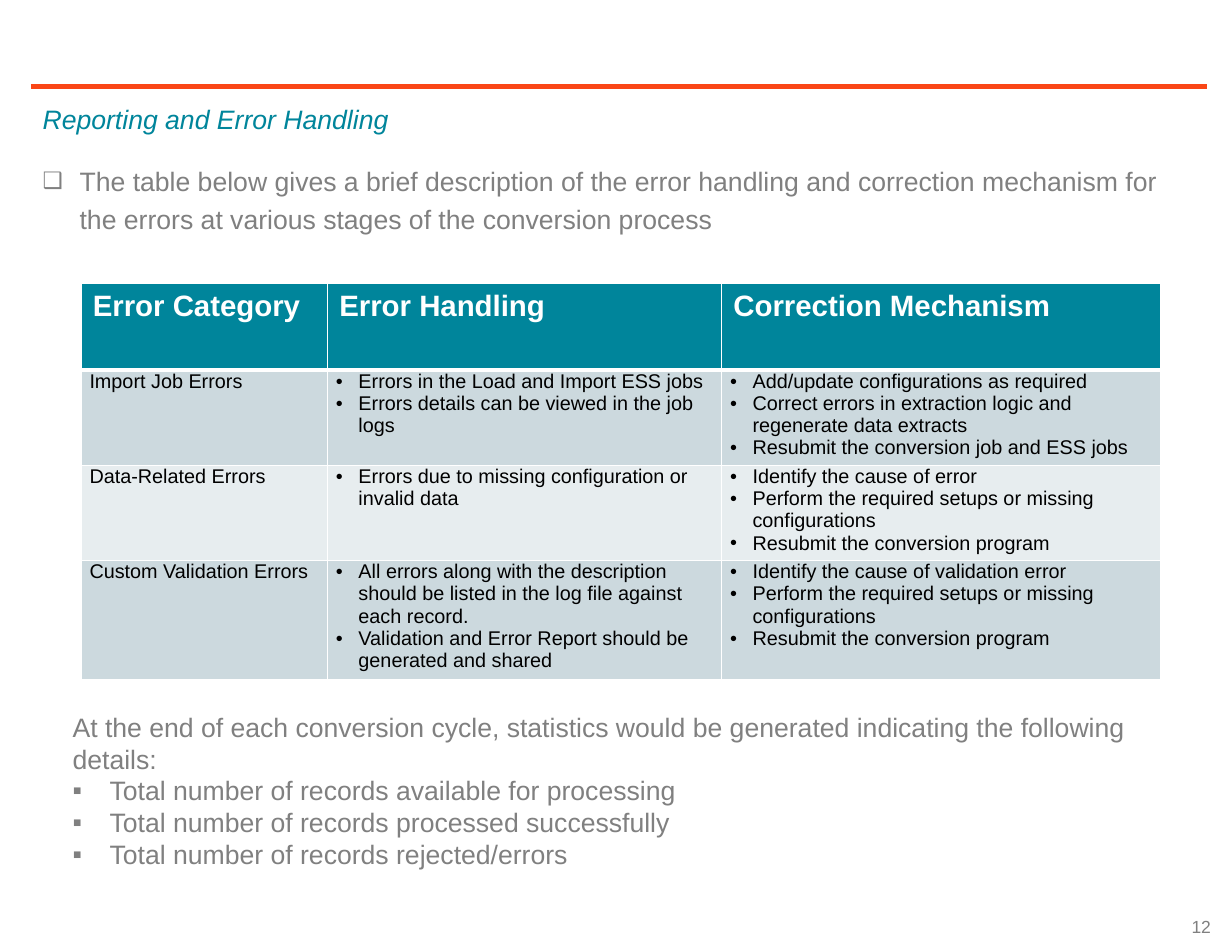
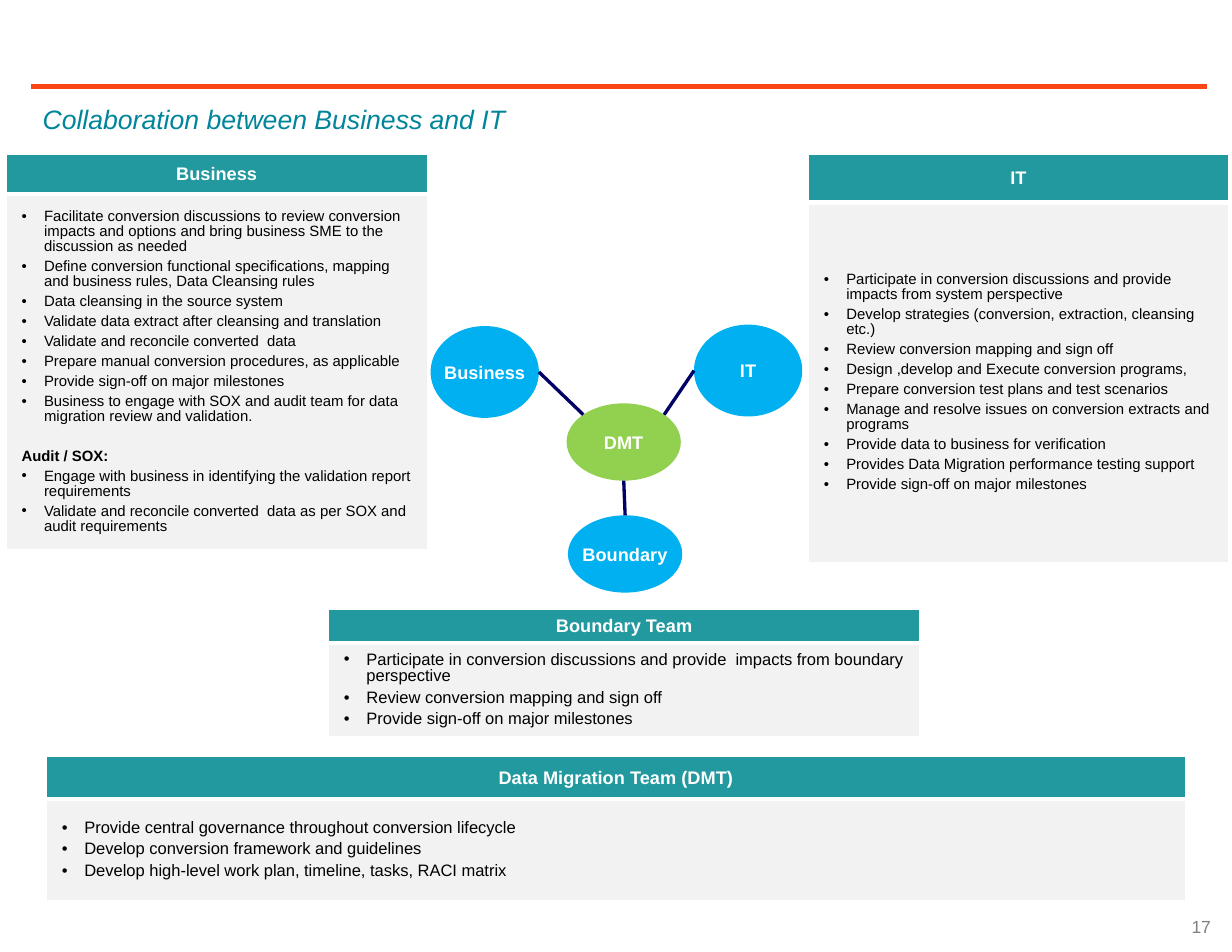
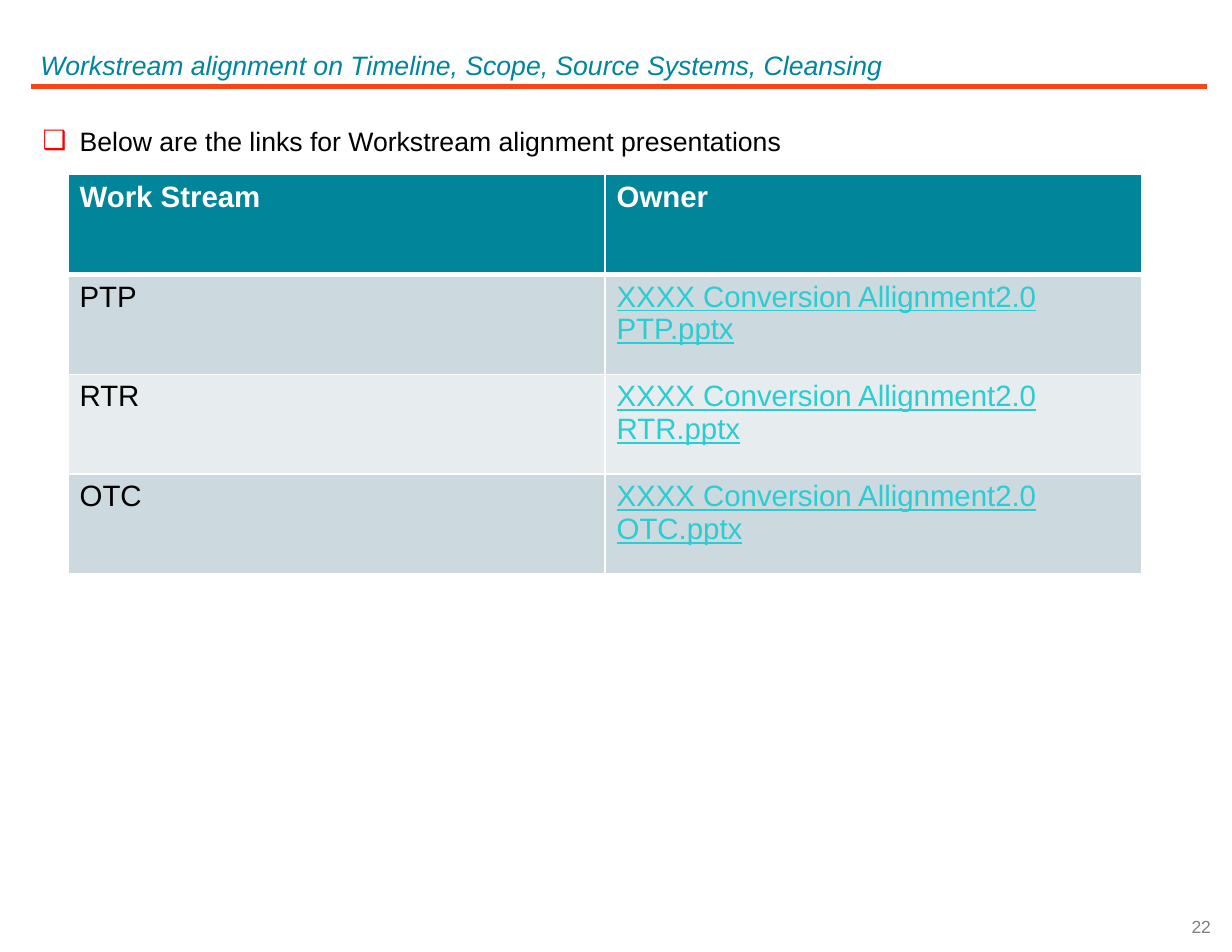
from dataclasses import dataclass, replace
from math import cos, radians, sin

from lxml.etree import SubElement
from pptx import Presentation
from pptx.dml.color import RGBColor
from pptx.enum.shapes import MSO_CONNECTOR, MSO_SHAPE
from pptx.enum.text import MSO_ANCHOR, PP_ALIGN
from pptx.oxml import parse_xml
from pptx.oxml.ns import nsdecls, qn
from pptx.slide import Slide
from pptx.text.text import TextFrame
from pptx.util import Cm, Pt


# Theme
@dataclass(frozen=True)
class Theme:
    font: str = "Arial"
    white: str = "FFFFFF"
    black: str = "000000"
    grey: str = "808080"
    red: str = "FF0000"
    orange: str = "FA4616"
    teal: str = "00859B"
    panel_teal: str = "21999E"
    panel_body: str = "F2F2F2"
    bands: tuple[str, str] = ("CCD9DE", "E7EDEF")
    link: str = "2CCCD3"
    sky: str = "00B0F0"
    green: str = "92D050"
    navy: str = "000066"
    body: float = 16.1
    table: float = 17.8
    detail: float = 12
    label: float = 11
    page: float = 10.6
    panel: float = 10
    dense: float = 9


THEME = Theme()


@dataclass(frozen=True)
class Style:
    size: float
    color: str
    bold: bool = False
    italic: bool = False
    underline: bool = False
    align: PP_ALIGN = PP_ALIGN.LEFT
    spacing: float = 1.0
    before: float = 0
    after: float = 0
    bullet: str = ""
    bullet_color: str = ""
    bullet_percent: int = 100
    indent: float = 0.79


@dataclass(frozen=True)
class Line:
    text: str
    style: Style


@dataclass(frozen=True)
class Box:
    left: float
    top: float
    width: float
    height: float

    def lengths(self) -> tuple[Cm, Cm, Cm, Cm]:
        return Cm(self.left), Cm(self.top), Cm(self.width), Cm(self.height)

    def edge(self, degrees: float) -> tuple[float, float]:
        """Point on the inscribed ellipse, clockwise from the right."""
        angle = radians(degrees)
        return (self.left + self.width / 2 * (1 + cos(angle)),
                self.top + self.height / 2 * (1 + sin(angle)))


@dataclass(frozen=True)
class Cell:
    lines: list[Line]
    fill: str
    margins: tuple[float, float] = (0.25, 0.13)
    anchor: MSO_ANCHOR = MSO_ANCHOR.TOP


@dataclass(frozen=True)
class Grid:
    left: float
    top: float
    widths: list[float]
    heights: list[float]
    rows: list[list[Cell]]


@dataclass(frozen=True)
class Panel:
    heading: str
    left: float
    top: float
    width: float
    heights: list[float]
    duties: list[Line]


@dataclass(frozen=True)
class Team:
    name: str
    box: Box
    color: str


TITLE = Style(THEME.body, THEME.teal, italic=True, spacing=1.2)
PAGE = Style(THEME.page, THEME.grey, align=PP_ALIGN.RIGHT)
BODY = Style(THEME.body, THEME.grey)
INTRO = replace(BODY, spacing=1.2, bullet="❑", bullet_percent=85)
STATISTIC = replace(BODY, bullet="▪")
LEAD = Style(THEME.body, THEME.black, bullet="❑", bullet_color=THEME.red)
HEADER = Style(THEME.table, THEME.white, bold=True)
STREAM = Style(THEME.table, THEME.black)
LINK = Style(THEME.table, THEME.link, underline=True)
CATEGORY = Style(THEME.detail, THEME.black)
DETAIL = replace(CATEGORY, bullet="•", indent=0.48)
LABEL = Style(THEME.label, THEME.white, bold=True, align=PP_ALIGN.CENTER)
DUTY = Style(THEME.panel, THEME.black, spacing=0.9, after=3, bullet="•", indent=0.48)
DENSE_DUTY = replace(DUTY, size=THEME.dense)
SUBHEADING = replace(DENSE_DUTY, bold=True, bullet="", before=12)


def lines_of(style: Style, *texts: str) -> list[Line]:
    return [Line(text, style) for text in texts]


# Text
def add_bullet(paragraph, style: Style) -> None:
    properties = paragraph._p.get_or_add_pPr()
    indent = Cm(style.indent)
    properties.set("marL", str(indent))
    properties.set("indent", str(-indent))
    if style.bullet_color:
        color = SubElement(properties, qn("a:buClr"))
        SubElement(color, qn("a:srgbClr"), val=style.bullet_color)
    SubElement(properties, qn("a:buSzPct"), val=str(style.bullet_percent * 1000))
    SubElement(properties, qn("a:buFont"), typeface=THEME.font)
    SubElement(properties, qn("a:buChar"), char=style.bullet)


def write(frame: TextFrame, lines: list[Line]) -> None:
    for index, line in enumerate(lines):
        paragraph = frame.add_paragraph() if index else frame.paragraphs[0]
        style = line.style
        paragraph.text = line.text
        paragraph.alignment = style.align
        paragraph.line_spacing = style.spacing
        paragraph.space_before = Pt(style.before)
        paragraph.space_after = Pt(style.after)
        if style.bullet:
            add_bullet(paragraph, style)
        font = paragraph.font
        font.name, font.size = THEME.font, Pt(style.size)
        font.bold, font.italic = style.bold, style.italic
        font.underline = style.underline
        font.color.rgb = RGBColor.from_string(style.color)


def add_text(slide: Slide, box: Box, lines: list[Line],
             anchor: MSO_ANCHOR = MSO_ANCHOR.TOP) -> None:
    frame = slide.shapes.add_textbox(*box.lengths()).text_frame
    frame.word_wrap = True
    frame.vertical_anchor = anchor
    write(frame, lines)


# Lines and ellipses
def add_line(slide: Slide, start: tuple[float, float], end: tuple[float, float],
             color: str, weight: float) -> None:
    ends = [Cm(value) for value in (*start, *end)]
    connector = slide.shapes.add_connector(MSO_CONNECTOR.STRAIGHT, *ends)
    connector.line.color.rgb = RGBColor.from_string(color)
    connector.line.width = Pt(weight)
    SubElement(connector._element.spPr, qn("a:effectLst"))


def add_team(slide: Slide, team: Team) -> None:
    ellipse = slide.shapes.add_shape(MSO_SHAPE.OVAL, *team.box.lengths())
    ellipse.shadow.inherit = False
    ellipse.fill.solid()
    ellipse.fill.fore_color.rgb = RGBColor.from_string(team.color)
    ellipse.line.fill.background()
    frame = ellipse.text_frame
    frame.word_wrap = False
    frame.vertical_anchor = MSO_ANCHOR.MIDDLE
    write(frame, lines_of(LABEL, team.name))


# Tables
def add_borders(cell, row: int) -> None:
    """White rules, heavier between the header and the first row."""
    weights = {"lnL": 1, "lnR": 1, "lnT": 3 if row == 1 else 1, "lnB": 3 if row == 0 else 1}
    properties = cell._tc.get_or_add_tcPr()
    for position, (side, weight) in enumerate(weights.items()):
        properties.insert(position, parse_xml(
            f'<a:{side} {nsdecls("a")} w="{Pt(weight)}"><a:solidFill>'
            f'<a:srgbClr val="{THEME.white}"/></a:solidFill></a:{side}>'))


def add_grid(slide: Slide, grid: Grid) -> None:
    box = Box(grid.left, grid.top, sum(grid.widths), sum(grid.heights))
    table = slide.shapes.add_table(
        len(grid.heights), len(grid.widths), *box.lengths()).table
    table.first_row = table.horz_banding = False
    for column, width in zip(table.columns, grid.widths):
        column.width = Cm(width)
    for row, height in zip(table.rows, grid.heights):
        row.height = Cm(height)
    for row_index, row in enumerate(grid.rows):
        for column_index, content in enumerate(row):
            cell = table.cell(row_index, column_index)
            cell.fill.solid()
            cell.fill.fore_color.rgb = RGBColor.from_string(content.fill)
            cell.margin_left = cell.margin_right = Cm(content.margins[0])
            cell.margin_top = cell.margin_bottom = Cm(content.margins[1])
            cell.vertical_anchor = content.anchor
            add_borders(cell, row_index)
            write(cell.text_frame, content.lines)


def header_row(*headings: str) -> list[Cell]:
    return [Cell(lines_of(HEADER, heading), THEME.teal) for heading in headings]


def add_panel(slide: Slide, panel: Panel) -> None:
    parts = [(lines_of(LABEL, panel.heading), THEME.panel_teal),
             (panel.duties, THEME.panel_body)]
    rows = [[Cell(lines, fill, (0.33, 0.13), MSO_ANCHOR.MIDDLE)] for lines, fill in parts]
    add_grid(slide, Grid(panel.left, panel.top, [panel.width], panel.heights, rows))


# Shared slide frame
TITLE_BOX = Box(0.66, 1.93, 25.1, 1.12)


def start_slide(deck, title: str, page: int, title_box: Box = TITLE_BOX) -> Slide:
    slide = deck.slides.add_slide(deck.slide_layouts[6])
    add_line(slide, (0.66, 1.85), (25.76, 1.85), THEME.orange, 3)
    add_text(slide, title_box, lines_of(TITLE, title))
    add_text(slide, Box(20.17, 19.23, 5.92, 1.09), lines_of(PAGE, str(page)),
             MSO_ANCHOR.MIDDLE)
    return slide


# Error handling slide
ERRORS = [
    ("Import Job Errors",
     ["Errors in the Load and Import ESS jobs",
      "Errors details can be viewed in the job logs"],
     ["Add/update configurations as required",
      "Correct errors in extraction logic and regenerate data extracts",
      "Resubmit the conversion job and ESS jobs"]),
    ("Data-Related Errors",
     ["Errors due to missing configuration or invalid data"],
     ["Identify the cause of error",
      "Perform the required setups or missing configurations",
      "Resubmit the conversion program"]),
    ("Custom Validation Errors",
     ["All errors along with the description should be listed in the log file "
      "against each record.",
      "Validation and Error Report should be generated and shared"],
     ["Identify the cause of validation error",
      "Perform the required setups or missing configurations",
      "Resubmit the conversion program"]),
]


def build_error_handling(deck) -> None:
    slide = start_slide(deck, "Reporting and Error Handling", 12)
    add_text(slide, Box(0.66, 3.25, 25.1, 15.72), lines_of(
        INTRO, "The table below gives a brief description of the error handling and "
        "correction mechanism for the errors at various stages of the conversion process"))
    rows = [header_row("Error Category", "Error Handling", "Correction Mechanism")]
    for index, (category, handling, correction) in enumerate(ERRORS):
        columns = [lines_of(CATEGORY, category), lines_of(DETAIL, *handling),
                   lines_of(DETAIL, *correction)]
        rows.append([Cell(lines, THEME.bands[index % 2], (0.18, 0)) for lines in columns])
    add_grid(slide, Grid(1.73, 6.05, [5.26, 8.41, 9.37], [1.85] * len(rows), rows))
    add_text(slide, Box(1.3, 15.04, 24.31, 3.68), [
        Line("At the end of each conversion cycle, statistics would be generated "
             "indicating the following details:", BODY),
        *lines_of(STATISTIC,
                  "Total number of records available for processing",
                  "Total number of records processed successfully",
                  "Total number of records rejected/errors")])


# Collaboration slide
PANELS = [
    Panel("Data Migration Team (DMT)", 0.99, 16.15, 24.31, [0.91, 2.16], lines_of(
        DUTY,
        "Provide central governance throughout conversion lifecycle",
        "Develop conversion framework and guidelines",
        "Develop high-level work plan, timeline, tasks, RACI matrix")),
    Panel("IT", 17.25, 3.3, 8.97, [1.02, 7.7], lines_of(
        DENSE_DUTY,
        "Participate in conversion discussions and provide impacts from system perspective",
        "Develop strategies (conversion, extraction, cleansing etc.)",
        "Review conversion mapping and sign off",
        "Design ,develop and Execute conversion programs,",
        "Prepare conversion test plans and test scenarios",
        "Manage and resolve issues on conversion extracts and programs",
        "Provide data to business for verification",
        "Provides Data Migration performance testing support",
        "Provide sign-off on major milestones")),
    Panel("Boundary Team", 7.01, 13, 12.62, [0.68, 1.9], lines_of(
        DUTY,
        "Participate in conversion discussions and provide  impacts from boundary perspective",
        "Review conversion mapping and sign off",
        "Provide sign-off on major milestones")),
    Panel("Business", 0.13, 3.3, 8.99, [0.84, 7.19], [
        *lines_of(
            DENSE_DUTY,
            "Facilitate conversion discussions to review conversion impacts and options "
            "and bring business SME to the discussion as needed",
            "Define conversion functional specifications, mapping and business rules, "
            "Data Cleansing rules",
            "Data cleansing in the source system",
            "Validate data extract after cleansing and translation",
            "Validate and reconcile converted  data",
            "Prepare manual conversion procedures, as applicable",
            "Provide sign-off on major milestones",
            "Business to engage with SOX and audit team for data migration review "
            "and validation."),
        Line("Audit / SOX:", SUBHEADING),
        *lines_of(
            DENSE_DUTY,
            "Engage with business in identifying the validation report requirements",
            "Validate and reconcile converted  data as per SOX and audit requirements")]),
]

DMT = Team("DMT", Box(12.09, 8.61, 2.44, 1.65), THEME.green)
BUSINESS = Team("Business", Box(9.19, 6.96, 2.31, 1.96), THEME.sky)
IT = Team("IT", Box(14.81, 6.93, 2.31, 1.96), THEME.sky)
BOUNDARY = Team("Boundary", Box(12.12, 11, 2.44, 1.65), THEME.sky)
# Partner team, angle on the DMT ellipse, angle on the partner's ellipse
LINKS = [(BOUNDARY, 90, 270), (IT, 315, 180), (BUSINESS, 225, 0)]


def build_collaboration(deck) -> None:
    slide = start_slide(deck, "Collaboration between Business and IT", 17)
    for panel in PANELS:
        add_panel(slide, panel)
    for team in (DMT, BUSINESS, IT, BOUNDARY):
        add_team(slide, team)
    for partner, hub_angle, partner_angle in LINKS:
        add_line(slide, DMT.box.edge(hub_angle), partner.box.edge(partner_angle),
                 THEME.navy, 2)


# Workstream slide
def build_workstreams(deck) -> None:
    slide = start_slide(
        deck, "Workstream alignment on Timeline, Scope, Source Systems, Cleansing", 22,
        replace(TITLE_BOX, left=0.61, top=0.79))
    rows = [header_row("Work Stream", "Owner")]
    for index, stream in enumerate(("PTP", "RTR", "OTC")):
        band = THEME.bands[index % 2]
        document = f"XXXX Conversion Allignment2.0 {stream}.pptx"
        rows.append([Cell(lines_of(STREAM, stream), band),
                     Cell(lines_of(LINK, document), band)])
    add_grid(slide, Grid(1.45, 3.73, [11.46] * 2, [2.13] * len(rows), rows))
    add_text(slide, Box(0.66, 2.54, 24.84, 0.94), lines_of(
        LEAD, "Below are the links for Workstream alignment presentations"))


def main() -> None:
    deck = Presentation()
    deck.slide_width, deck.slide_height = Cm(26.29), Cm(20.32)
    build_error_handling(deck)
    build_collaboration(deck)
    build_workstreams(deck)
    deck.save("out.pptx")


if __name__ == "__main__":
    main()
